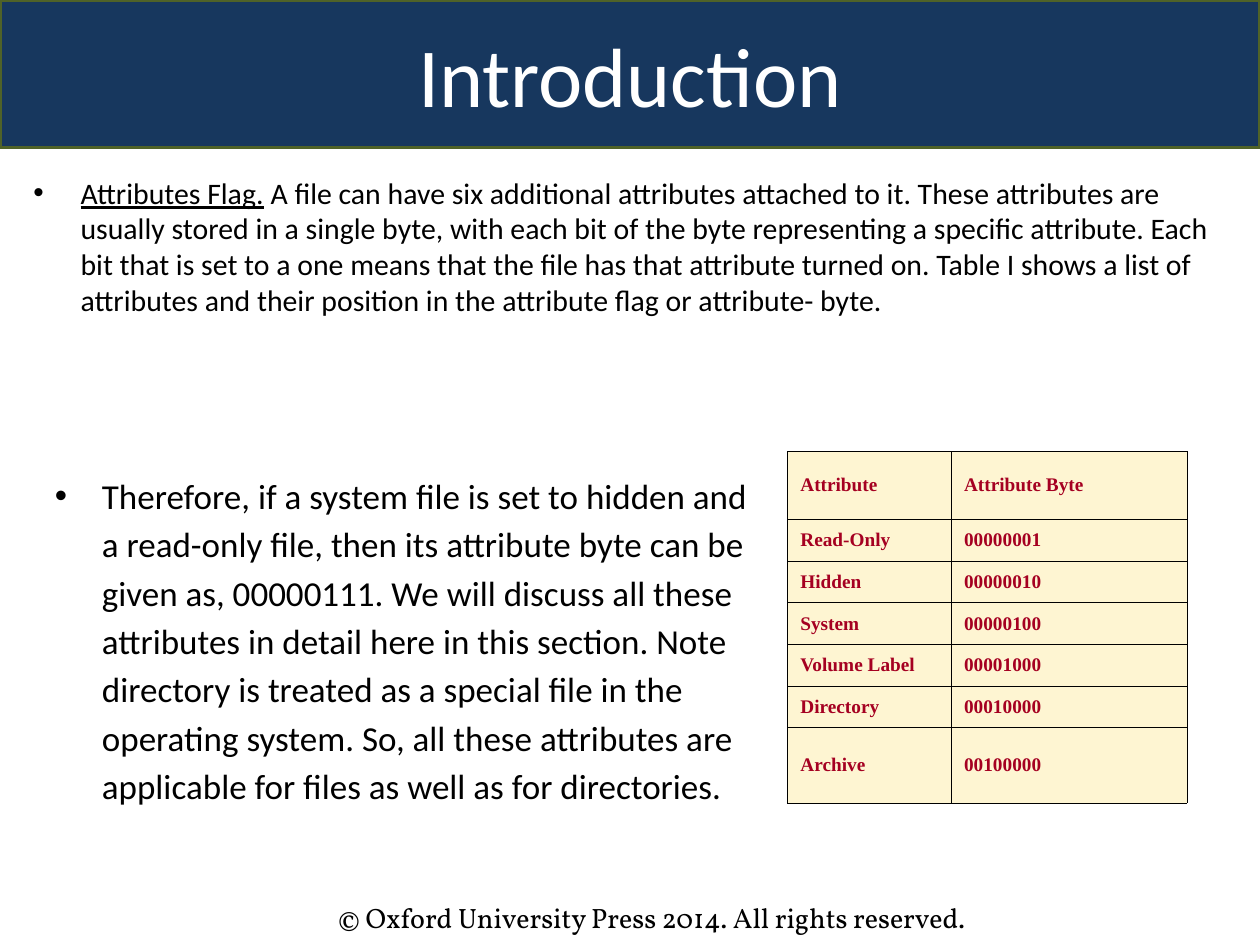
from lxml.etree import SubElement
from pptx import Presentation
from pptx.dml.color import RGBColor
from pptx.enum.text import MSO_ANCHOR, MSO_AUTO_SIZE, PP_ALIGN
from pptx.oxml.ns import qn
from pptx.util import Cm, Pt

COLOURS = {
    "banner": "17375E",
    "banner_line": "4F6228",
    "banner_text": "FFFFFF",
    "text": "000000",
    "cell": "FEF5D2",
    "cell_text": "A50021",
    "border": "000000",
}

FLAG_TEXT = (
    " A file can have six additional attributes attached to it. These attributes are "
    "usually stored in a single byte, with each bit of the byte representing a specific "
    "attribute. Each bit that is set to a one means that the file has that attribute "
    "turned on. Table I shows a list of attributes and their position in the attribute "
    "flag or attribute- byte."
)
EXAMPLE_TEXT = (
    "Therefore, if a system file is set to hidden and a read-only file, then its "
    "attribute byte can be given as, 00000111. We will discuss all these attributes in "
    "detail here in this section. Note directory is treated as a special file in the "
    "operating system. So, all these attributes are applicable for files as well as "
    "for directories."
)
ATTRIBUTES = ["Read-Only", "Hidden", "System", "Volume Label", "Directory", "Archive"]


class SlideWriter:
    body_font = "Calibri"
    table_font = "Times New Roman"
    footer_font = "Vollkorn"
    hanging = Cm(0.95)

    def __init__(self, page):
        self.page = page

    def place(self, box, left, top, width, height):
        box.left, box.top = Cm(left), Cm(top)
        box.width, box.height = Cm(width), Cm(height)
        frame = box.text_frame
        frame.word_wrap = True
        frame.auto_size = MSO_AUTO_SIZE.NONE
        return frame

    def span(self, paragraph, text, size, font, colour, bold=False, underline=False):
        span = paragraph.add_run()
        span.text = text
        span.font.size = Pt(size)
        span.font.name = font
        span.font.bold = bold
        span.font.underline = underline
        span.font.color.rgb = RGBColor.from_string(COLOURS[colour])

    def hang(self, paragraph):
        properties = paragraph._p.get_or_add_pPr()
        properties.set("marL", str(self.hanging))
        properties.set("indent", str(-self.hanging))
        return properties

    def title(self, text, *position):
        box = self.page.shapes.title
        frame = self.place(box, *position)
        frame.vertical_anchor = MSO_ANCHOR.MIDDLE
        box.fill.solid()
        box.fill.fore_color.rgb = RGBColor.from_string(COLOURS["banner"])
        box.line.color.rgb = RGBColor.from_string(COLOURS["banner_line"])
        box.line.width = Pt(2)
        paragraph = frame.paragraphs[0]
        paragraph.alignment = PP_ALIGN.CENTER
        self.span(paragraph, text, 48, self.body_font, "banner_text")

    def bullet(self, index, parts, size, spacing, *position):
        frame = self.place(self.page.placeholders[index], *position)
        paragraph = frame.paragraphs[0]
        properties = self.hang(paragraph)
        bullet_colour = SubElement(properties, qn("a:buClr"))
        SubElement(bullet_colour, qn("a:srgbClr"), val=COLOURS["text"])
        SubElement(properties, qn("a:buChar"), char="•")
        paragraph.line_spacing = spacing
        paragraph.space_before = Pt(0)
        for text, underline in parts:
            self.span(paragraph, text, size, self.body_font, "text", underline=underline)

    def cell(self, cell, text):
        properties = cell._tc.get_or_add_tcPr()
        for side in ("lnL", "lnR", "lnT", "lnB"):
            border = SubElement(properties, qn(f"a:{side}"), w=str(Pt(0.45)))
            fill = SubElement(border, qn("a:solidFill"))
            SubElement(fill, qn("a:srgbClr"), val=COLOURS["border"])
        cell.fill.solid()
        cell.fill.fore_color.rgb = RGBColor.from_string(COLOURS["cell"])
        cell.vertical_anchor = MSO_ANCHOR.MIDDLE
        paragraph = cell.text_frame.paragraphs[0]
        paragraph.alignment = PP_ALIGN.JUSTIFY
        self.hang(paragraph)
        self.span(paragraph, text, 11, self.table_font, "cell_text", bold=True)

    def table(self, rows, widths, heights, left, top):
        table = self.page.shapes.add_table(
            len(rows), len(widths), Cm(left), Cm(top), Cm(sum(widths)), Cm(sum(heights))
        ).table
        for column, width in zip(table.columns, widths):
            column.width = Cm(width)
        for row, height, texts in zip(table.rows, heights, rows):
            row.height = Cm(height)
            for cell, text in zip(row.cells, texts):
                self.cell(cell, text)

    def footer(self, text, *position):
        box = self.page.shapes.add_textbox(0, 0, 0, 0)
        frame = self.place(box, *position)
        self.span(frame.paragraphs[0], text, 16, self.footer_font, "text")


def main():
    deck = Presentation()
    deck.slide_width, deck.slide_height = Cm(25.4), Cm(19.05)
    writer = SlideWriter(deck.slides.add_slide(deck.slide_layouts.get_by_name("Two Content")))

    writer.title("Introduction", 0, 0, 25.4, 2.97)
    writer.bullet(
        1, [("Attributes Flag.", True), (FLAG_TEXT, False)], 17, 1.0, 0.42, 3.39, 24.56, 3.6
    )
    writer.bullet(2, [(EXAMPLE_TEXT, False)], 20, 1.15, 0.85, 9.31, 14.82, 7.09)

    rows = [("Attribute", "Attribute Byte")]
    rows += [(name, f"{1 << bit:08b}") for bit, name in enumerate(ATTRIBUTES)]
    writer.table(rows, [3.3, 4.75], [1.37] + [0.84] * 5 + [1.52], 15.88, 9.1)

    writer.footer("© Oxford University Press 2014. All rights reserved.", 6.56, 18.03, 15.03, 0.94)
    deck.save("out.pptx")


if __name__ == "__main__":
    main()
